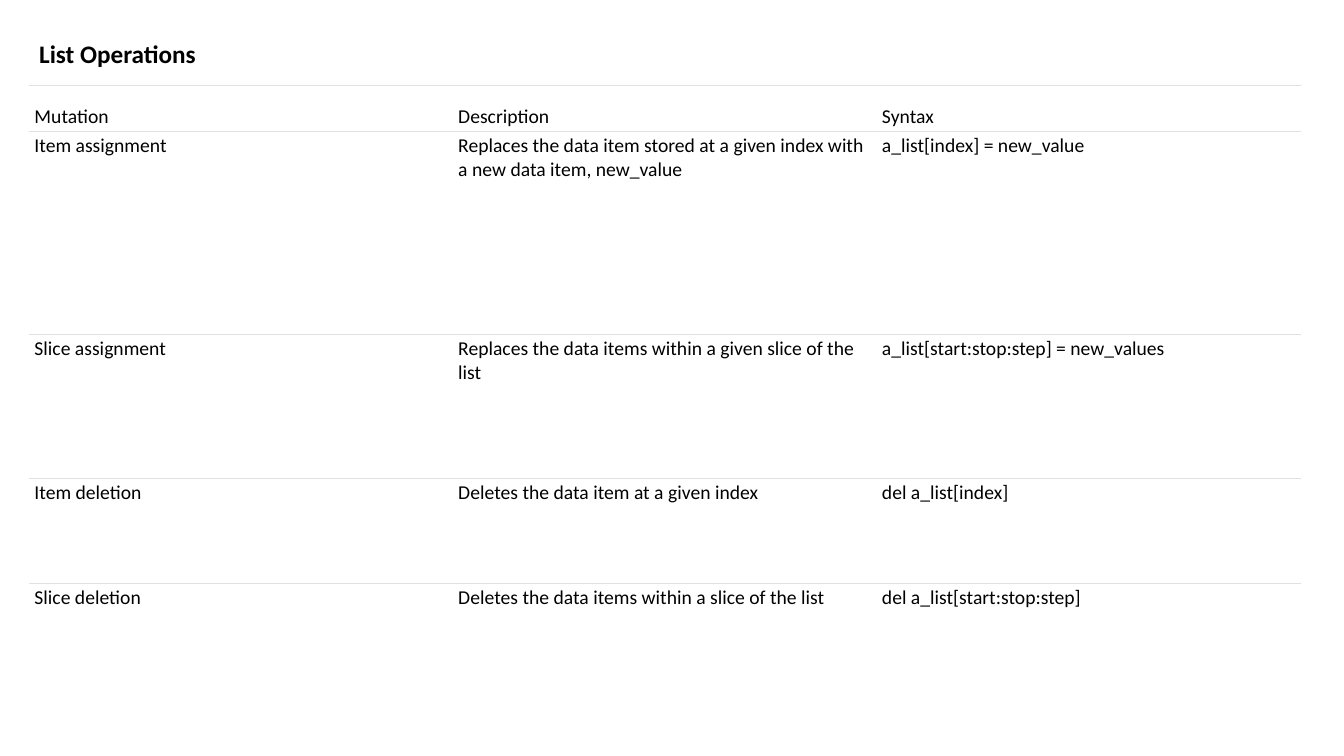
from dataclasses import dataclass

from lxml.etree import SubElement
from pptx import Presentation
from pptx.dml.color import RGBColor
from pptx.enum.text import MSO_ANCHOR, MSO_AUTO_SIZE
from pptx.oxml.ns import qn
from pptx.util import Pt


@dataclass(frozen=True)
class Theme:
    font: str = "Calibri"
    text: str = "000000"
    background: str = "FFFFFF"
    rule: str = "DEE2E6"
    title_size: float = 18
    body_size: float = 14
    rule_width: float = 0.38


OPERATIONS = [
    ("Mutation", "Description", "Syntax"),
    ("Item assignment",
     "Replaces the data item stored at a given index with a new data item, new_value",
     "a_list[index] = new_value"),
    ("Slice assignment",
     "Replaces the data items within a given slice of the list",
     "a_list[start:stop:step] = new_values"),
    ("Item deletion", "Deletes the data item at a given index", "del a_list[index]"),
    ("Slice deletion", "Deletes the data items within a slice of the list",
     "del a_list[start:stop:step]"),
]
ROW_HEIGHTS = [32.8, 144.7, 103, 74.9, 88.3]
COLUMN_WIDTH = 302.7


def add_text(frame, text, *, font, size, color, bold=False):
    run = frame.paragraphs[0].add_run()
    run.text = text
    run.font.name = font
    run.font.size = Pt(size)
    run.font.bold = bold
    run.font.color.rgb = RGBColor.from_string(color)


def set_border(cell, side, color=None, width=0):
    """Draw one cell edge (L, R, T or B); without a colour, hide it.

    Call for sides in the order L, R, T, B and before filling the cell.
    """
    line = SubElement(cell._tc.get_or_add_tcPr(), qn(f"a:ln{side}"), w=str(Pt(width)))
    if color is None:
        SubElement(line, qn("a:noFill"))
    else:
        fill = SubElement(line, qn("a:solidFill"))
        SubElement(fill, qn("a:srgbClr"), val=color)


class SlideBuilder:
    def __init__(self, slide, theme):
        self.slide = slide
        self.theme = theme
        slide.background.fill.solid()
        slide.background.fill.fore_color.rgb = RGBColor.from_string(theme.background)

    def text(self, frame, text, size, bold=False):
        add_text(frame, text, font=self.theme.font, size=size,
                 color=self.theme.text, bold=bold)

    def title(self, text, left, top, width, height):
        frame = self.slide.shapes.add_textbox(
            Pt(left), Pt(top), Pt(width), Pt(height)).text_frame
        frame.word_wrap = True
        frame.auto_size = MSO_AUTO_SIZE.SHAPE_TO_FIT_TEXT
        self.text(frame, text, self.theme.title_size, bold=True)

    def table(self, rows, left, top, column_width, row_heights):
        column_count = len(rows[0])
        table = self.slide.shapes.add_table(
            len(rows), column_count, Pt(left), Pt(top),
            Pt(column_width * column_count), Pt(sum(row_heights))).table
        table.horz_banding = False
        for column in table.columns:
            column.width = Pt(column_width)
        for row_index, (texts, height) in enumerate(zip(rows, row_heights)):
            table.rows[row_index].height = Pt(height)
            for column_index, text in enumerate(texts):
                self.cell(table.cell(row_index, column_index), text,
                          is_header=row_index == 0,
                          is_last=row_index == len(rows) - 1)

    def cell(self, cell, text, is_header, is_last):
        rule = (self.theme.rule, self.theme.rule_width)
        set_border(cell, "L")
        set_border(cell, "R")
        set_border(cell, "T", *rule)
        set_border(cell, "B", *(() if is_last else rule))
        cell.fill.solid()
        cell.fill.fore_color.rgb = RGBColor.from_string(self.theme.background)
        cell.margin_left = cell.margin_right = Pt(3.75)
        cell.margin_top = cell.margin_bottom = Pt(1.9)
        cell.vertical_anchor = MSO_ANCHOR.BOTTOM if is_header else MSO_ANCHOR.TOP
        self.text(cell.text_frame, text, self.theme.body_size)


def main():
    presentation = Presentation()
    presentation.slide_width = Pt(960)
    presentation.slide_height = Pt(540)
    slide = presentation.slides.add_slide(presentation.slide_layouts[6])
    builder = SlideBuilder(slide, Theme())
    builder.table(OPERATIONS, 20.9, 61, COLUMN_WIDTH, ROW_HEIGHTS)
    builder.title("List Operations", 20.9, 24, 320.4, 29)
    presentation.save("out.pptx")


if __name__ == "__main__":
    main()
